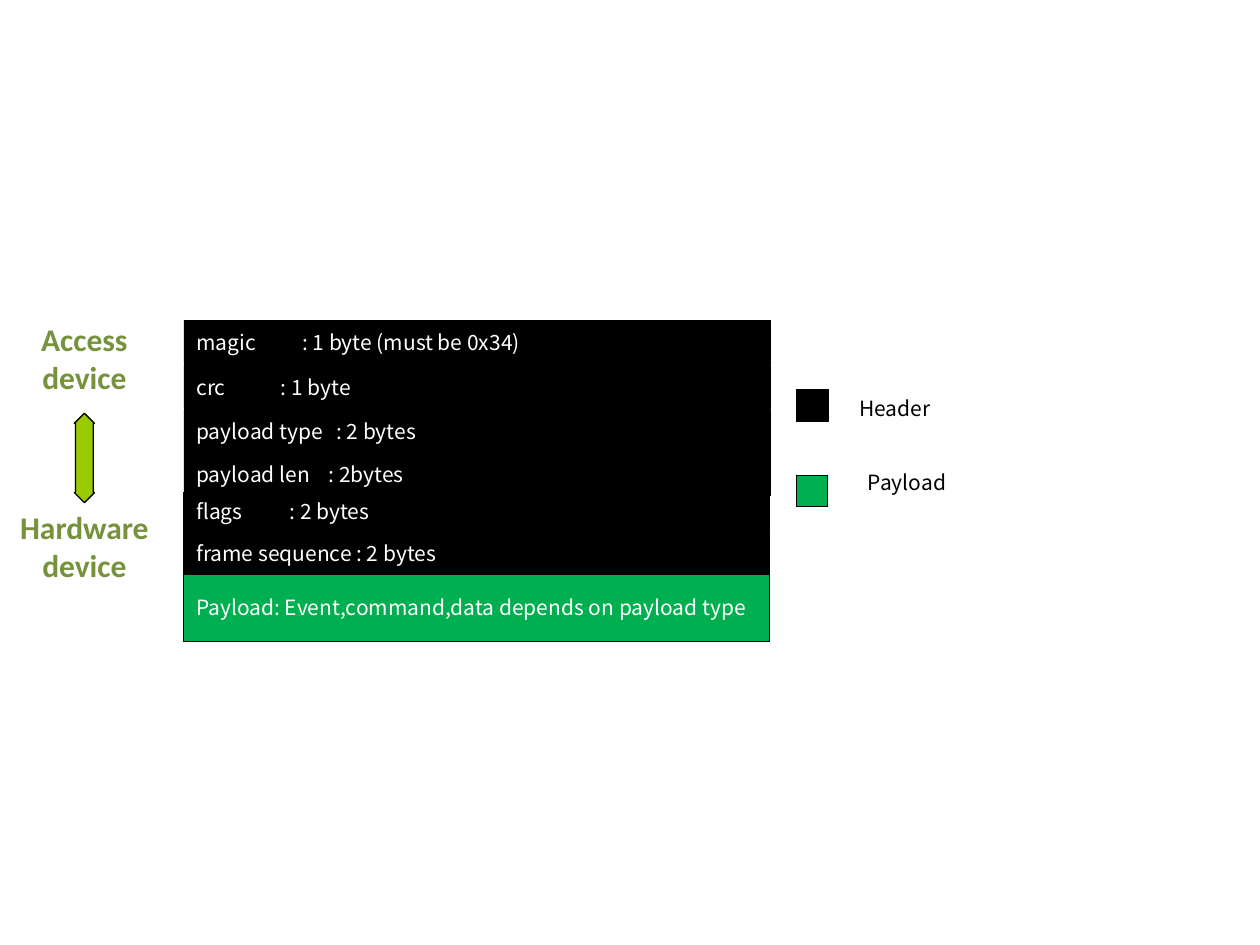
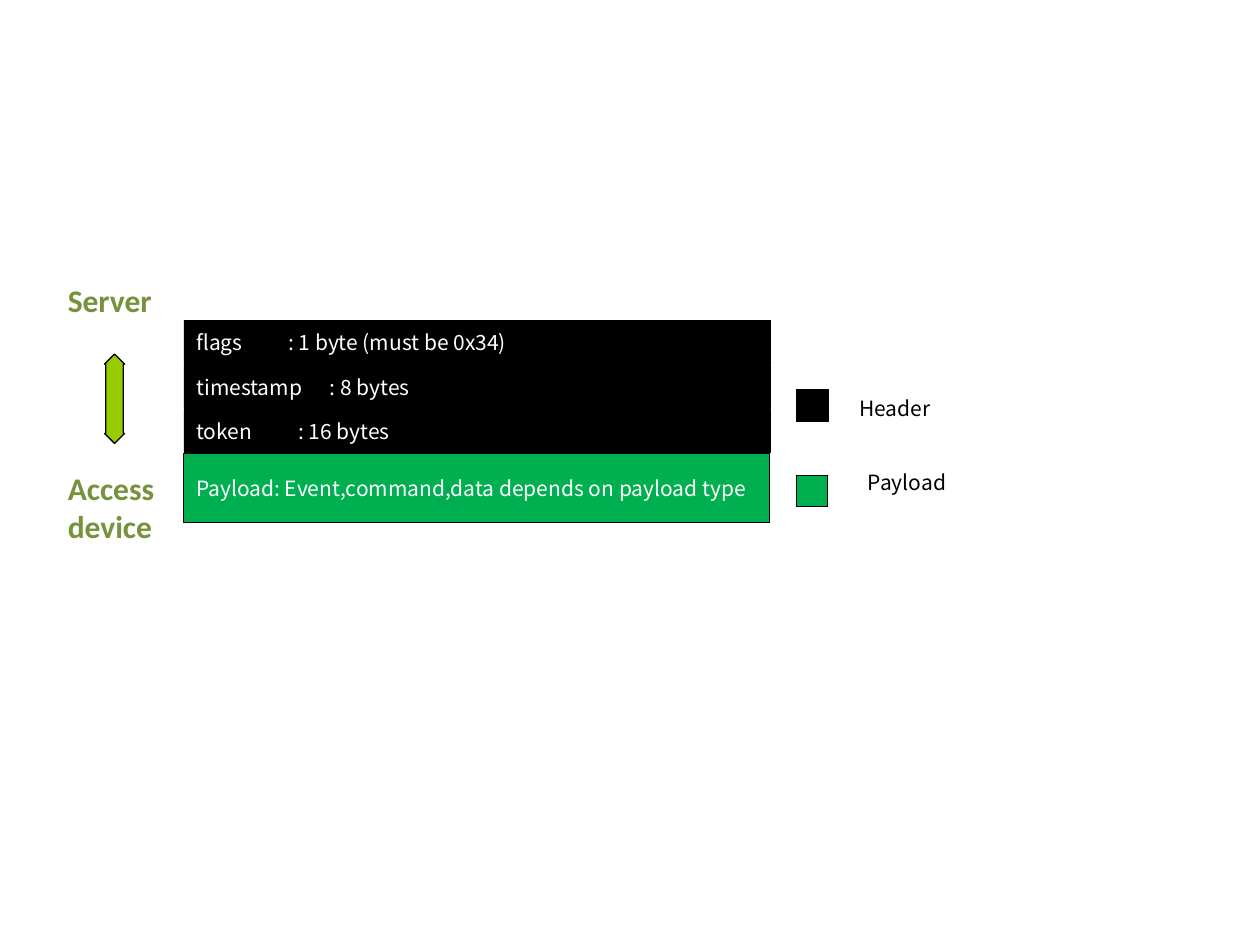
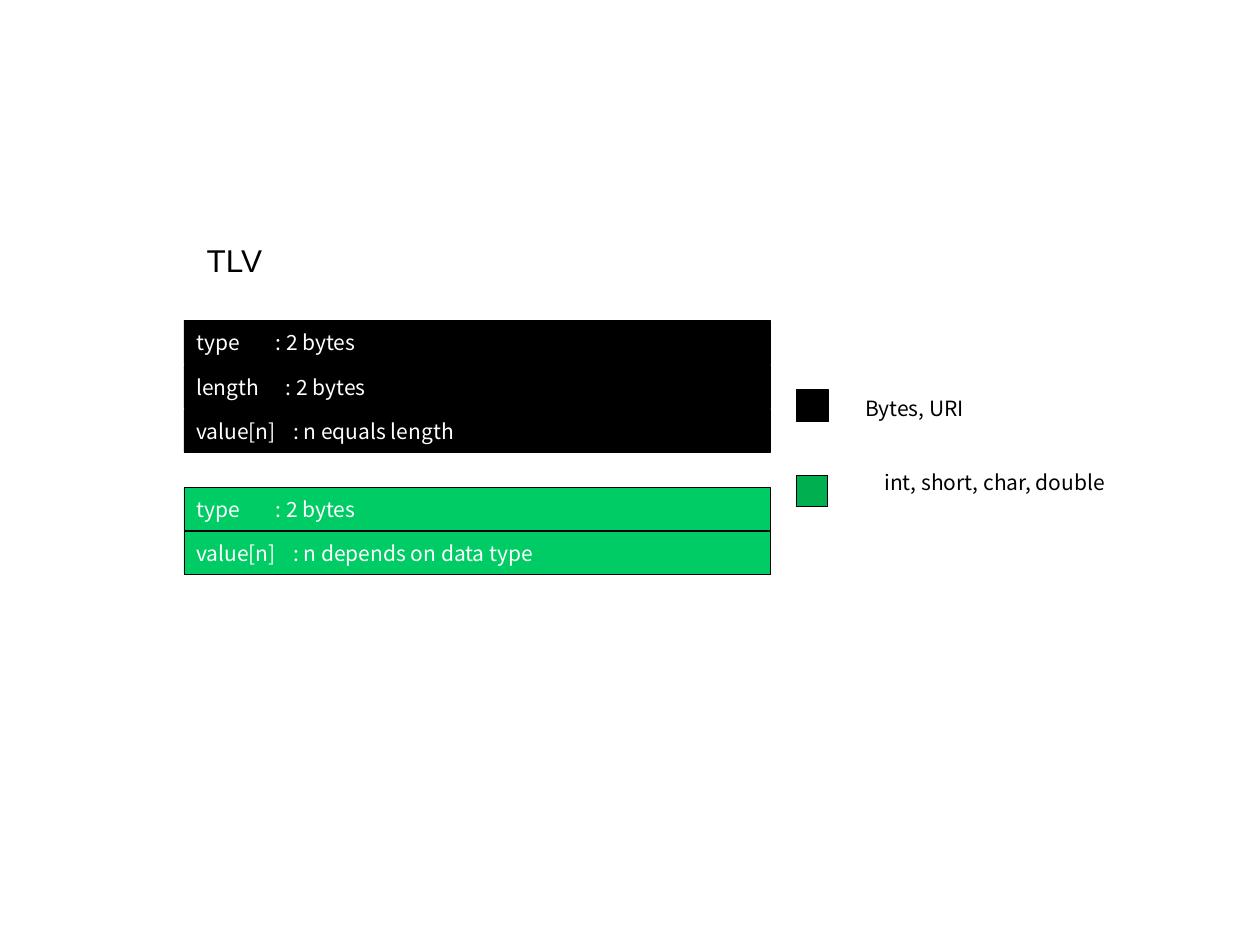
from dataclasses import dataclass
from typing import Optional

import pptx
import pptx.dml.color
import pptx.enum.shapes
import pptx.enum.text
import pptx.oxml
import pptx.oxml.ns
import pptx.util

COLUMNS, ROWS = 1000, 750
BODY_FONT, ENDPOINT_FONT, TITLE_FONT = "Noto Sans CJK SC", "Calibri", "Arial"
BLACK, WHITE = "000000", "FFFFFF"
PAYLOAD_GREEN, VALUE_GREEN = "00B050", "00CC66"
ENDPOINT_GREEN, ARROW_GREEN = "76923C", "99CC00"
RECORD_LEFT, RECORD_TOP, RECORD_WIDTH = 146, 254, 465
LEGEND_LEFT, LEGEND_SIDE = 632, 25
ALIGN = pptx.enum.text.PP_ALIGN
ANCHOR = pptx.enum.text.MSO_ANCHOR
SHAPE = pptx.enum.shapes.MSO_SHAPE

deck = pptx.Presentation()
deck.slide_width = pptx.util.Inches(10)
deck.slide_height = pptx.util.Inches(7.5)
TITLE_ONLY, BLANK = deck.slide_layouts[5], deck.slide_layouts[6]


@dataclass
class Box:
    column: float
    row: float
    columns: float
    rows: float

    def lengths(self) -> list[int]:
        across, down = deck.slide_width / COLUMNS, deck.slide_height / ROWS
        return [round(self.column * across), round(self.row * down),
                round(self.columns * across), round(self.rows * down)]


@dataclass
class Style:
    font: str
    size: float
    color: str
    bold: bool = False
    align: ALIGN = ALIGN.LEFT


@dataclass
class Field:
    text: str
    tab: Optional[float] = None
    rows: float = 34
    gap: float = 1
    fill: str = BLACK
    line: float = 0.25


@dataclass
class LegendEntry:
    text: str
    column: float
    columns: float


@dataclass
class Endpoints:
    box: Box
    upper: list[str]
    lower: list[str]
    distance: float
    align: ALIGN
    arrow: Box
    head: float


FIELD_STYLE = Style(BODY_FONT, 12, WHITE)
LEGEND_STYLE = Style(BODY_FONT, 12, BLACK)
TITLE_STYLE = Style(TITLE_FONT, 18, BLACK)


def color(hex_value: str) -> pptx.dml.color.RGBColor:
    return pptx.dml.color.RGBColor.from_string(hex_value)


def format_paragraph(paragraph, style: Style) -> None:
    paragraph.alignment = style.align
    paragraph.font.name = style.font
    paragraph.font.size = pptx.util.Pt(style.size)
    paragraph.font.bold = style.bold
    paragraph.font.color.rgb = color(style.color)


def add_tab(paragraph, inches: float) -> None:
    properties = paragraph._p.get_or_add_pPr()
    tabs = pptx.oxml.parse_xml(
        f'<a:tabLst {pptx.oxml.ns.nsdecls("a")}>'
        f'<a:tab pos="{pptx.util.Inches(inches)}" algn="l"/></a:tabLst>')
    properties.append(tabs)


def add_filled(slide, kind: SHAPE, box: Box, fill: str, line: float):
    shape = slide.shapes.add_shape(kind, *box.lengths())
    shape.shadow.inherit = False
    shape.fill.solid()
    shape.fill.fore_color.rgb = color(fill)
    shape.line.color.rgb = color(BLACK)
    shape.line.width = pptx.util.Pt(line)
    return shape


def add_record(slide, fields: list[Field]) -> None:
    placed, bottom = [], RECORD_TOP
    for field in fields:
        placed.append((field, Box(RECORD_LEFT, bottom, RECORD_WIDTH, field.rows)))
        bottom += field.rows + field.gap
    for field, box in reversed(placed):
        band = add_filled(slide, SHAPE.RECTANGLE, box, field.fill, field.line)
        band.text_frame.vertical_anchor = ANCHOR.MIDDLE
        paragraph = band.text_frame.paragraphs[0]
        paragraph.text = field.text
        if field.tab is not None:
            add_tab(paragraph, field.tab)
        format_paragraph(paragraph, FIELD_STYLE)


def add_legend(slide, header: LegendEntry, payload: LegendEntry) -> None:
    for entry, swatch_row, text_row, fill, line in (
            (header, 309, 309, BLACK, 0.25), (payload, 377, 368, PAYLOAD_GREEN, 0.5)):
        swatch = Box(LEGEND_LEFT, swatch_row, LEGEND_SIDE, LEGEND_SIDE)
        add_filled(slide, SHAPE.RECTANGLE, swatch, fill, line)
        label = slide.shapes.add_textbox(
            *Box(entry.column, text_row, entry.columns, 30).lengths())
        label.text_frame.word_wrap = False
        label.text_frame.text = entry.text
        format_paragraph(label.text_frame.paragraphs[0], LEGEND_STYLE)


def add_endpoints(slide, ends: Endpoints) -> None:
    frame = slide.shapes.add_textbox(*ends.box.lengths()).text_frame
    frame.word_wrap = True
    frame.text = "\n".join(ends.upper + ends.lower)
    style = Style(ENDPOINT_FONT, 18, ENDPOINT_GREEN, True, ends.align)
    for paragraph in frame.paragraphs:
        format_paragraph(paragraph, style)
    frame.paragraphs[len(ends.upper)].space_before = pptx.util.Pt(ends.distance)
    arrow = add_filled(slide, SHAPE.UP_DOWN_ARROW, ends.arrow, ARROW_GREEN, 0.75)
    arrow.adjustments[1] = ends.head


def add_title(slide, text: str, box: Box) -> None:
    title = slide.shapes.title
    title.left, title.top, title.width, title.height = box.lengths()
    title.text_frame.text = text
    title.text_frame.word_wrap = False
    title.text_frame.vertical_anchor = ANCHOR.TOP
    format_paragraph(title.text_frame.paragraphs[0], TITLE_STYLE)


PAYLOAD_TEXT = "Payload: Event,command,data depends on payload type"
HEADER_ENTRY = LegendEntry("Header", 672, 77)
PAYLOAD_ENTRY = LegendEntry("Payload", 679, 83)


def build_hardware_frame() -> None:
    slide = deck.slides.add_slide(BLANK)
    add_record(slide, [
        Field("magic\t: 1 byte (must be 0x34)", 0.84, rows=35),
        Field("crc\t: 1 byte", 0.67),
        Field("payload type\t: 2 bytes", 1.11, gap=0),
        Field("payload len\t: 2bytes", 1.05, gap=-2),
        Field("flags\t: 2 bytes", 0.74, rows=30, line=0.5),
        Field("frame sequence : 2 bytes", gap=-2, line=0.5),
        Field(PAYLOAD_TEXT, rows=55, fill=PAYLOAD_GREEN, line=0.5),
    ])
    add_legend(slide, HEADER_ENTRY, PAYLOAD_ENTRY)
    add_endpoints(slide, Endpoints(
        Box(4, 249, 126, 310), ["Access", "device"], ["Hardware", "device"],
        64.5, ALIGN.CENTER, Box(59, 328, 16, 71), 0.88))


def build_server_frame() -> None:
    slide = deck.slides.add_slide(BLANK)
    add_record(slide, [
        Field("flags\t: 1 byte (must be 0x34)", 0.73, rows=35),
        Field("timestamp\t: 8 bytes", 1.06),
        Field("token\t: 16 bytes", 0.81),
        Field(PAYLOAD_TEXT, rows=55, fill=PAYLOAD_GREEN, line=0.5),
    ])
    add_legend(slide, HEADER_ENTRY, PAYLOAD_ENTRY)
    add_endpoints(slide, Endpoints(
        Box(44, 218, 94, 280), ["Server"], ["Access", "device"],
        86, ALIGN.LEFT, Box(83, 281, 16, 71), 0.87))


def build_tlv() -> None:
    slide = deck.slides.add_slide(TITLE_ONLY)
    add_title(slide, "TLV", Box(154, 186, 66, 40))
    add_record(slide, [
        Field("type\t: 2 bytes", 0.63, rows=35),
        Field("length\t: 2 bytes", 0.71),
        Field("value[n]\t: n equals length", 0.77, gap=28),
        Field("type\t: 2 bytes", 0.63, fill=VALUE_GREEN),
        Field("value[n]\t: n depends on data type", 0.77, fill=VALUE_GREEN),
    ])
    add_legend(slide, LegendEntry("Bytes, URI", 677, 99),
               LegendEntry("int, short, char, double", 692, 197))


def main() -> None:
    build_hardware_frame()
    build_server_frame()
    build_tlv()
    deck.save("out.pptx")


if __name__ == "__main__":
    main()
